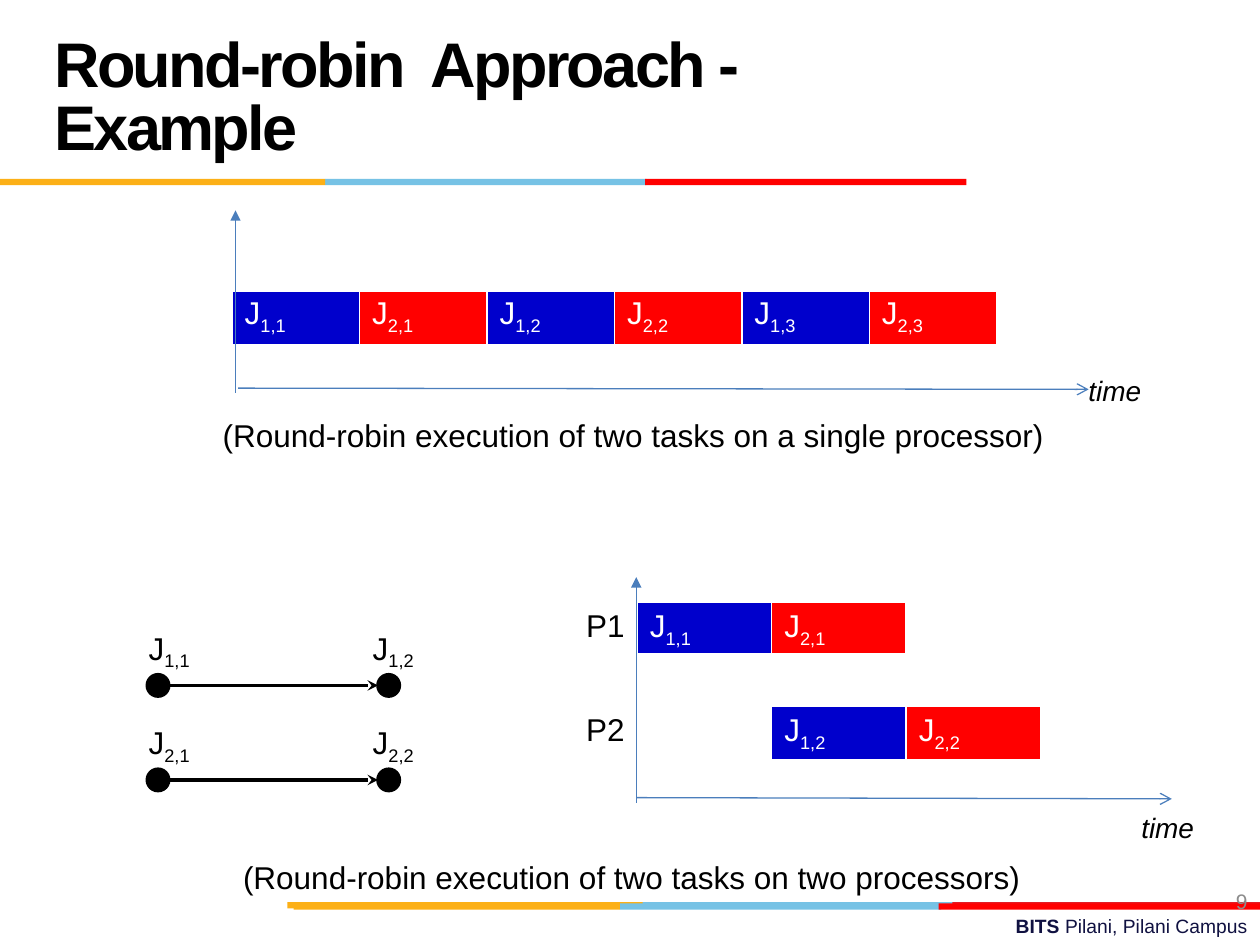
from dataclasses import dataclass
from typing import NamedTuple

from lxml import etree
from pptx import Presentation
from pptx.dml.color import RGBColor
from pptx.enum import shapes, text
from pptx.oxml import ns
from pptx.util import Pt


@dataclass(frozen=True)
class Theme:
    font: str = "Arial"
    black: str = "000000"
    white: str = "FFFFFF"
    navy: str = "101141"
    gray: str = "8C8C8C"
    amber: str = "FCB017"
    sky: str = "76C2E5"
    crimson: str = "E31C24"
    red: str = "FF0000"
    blue: str = "0000CC"
    axis: str = "4B7EBC"
    title_size: float = 36
    body_size: float = 18
    time_size: float = 16
    number_size: float = 12
    footer_size: float = 11


class Stripe(NamedTuple):
    left: float
    top: float
    width: float
    color: str


class Arrow(NamedTuple):
    start: tuple[float, float]
    end: tuple[float, float]
    color: str
    weight: float
    head: str = ""
    tail: str = ""


class Label(NamedTuple):
    left: float
    top: float
    width: float
    height: float
    words: str
    style: dict


class Slot(NamedTuple):
    row: int
    column: int
    name: str
    index: str = ""


THEME = Theme()
STRIPE_HEIGHT = 3.6
ROW_HEIGHT = 29.2


def rgb(color: str) -> RGBColor:
    return RGBColor.from_string(color)


def write(paragraph, words: str, *, size: float = THEME.body_size,
          color: str = THEME.black, bold: bool = False, italic: bool = False,
          subscript: bool = False, tracking: int = 0, align=None) -> None:
    run = paragraph.add_run()
    run.text = words
    run.font.name = THEME.font
    run.font.size = Pt(size)
    run.font.bold = bold
    run.font.italic = italic
    run.font.color.rgb = rgb(color)
    properties = run._r.get_or_add_rPr()
    if subscript:
        properties.set("baseline", "-25000")
    if tracking:
        properties.set("spc", str(tracking))
    if align is not None:
        paragraph.alignment = align


def write_job(paragraph, index: str, color: str) -> None:
    write(paragraph, "J", color=color)
    write(paragraph, index, color=color, subscript=True)


def add_box(slide, left: float, top: float, width: float, height: float,
            wrap: bool = False):
    frame = slide.shapes.add_textbox(Pt(left), Pt(top), Pt(width), Pt(height)).text_frame
    frame.word_wrap = wrap
    frame.auto_size = text.MSO_AUTO_SIZE.NONE if wrap else text.MSO_AUTO_SIZE.SHAPE_TO_FIT_TEXT
    return frame


def add_label(slide, label: Label) -> None:
    frame = add_box(slide, label.left, label.top, label.width, label.height)
    write(frame.paragraphs[0], label.words, **label.style)


def add_solid(slide, kind, left: float, top: float, width: float, height: float,
              color: str, outlined: bool = False) -> None:
    solid = slide.shapes.add_shape(kind, Pt(left), Pt(top), Pt(width), Pt(height))
    solid.shadow.inherit = False
    solid.fill.solid()
    solid.fill.fore_color.rgb = rgb(color)
    if outlined:
        solid.line.color.rgb = rgb(color)
        solid.line.width = Pt(2)
    else:
        solid.line.fill.background()


def add_arrow(slide, arrow: Arrow) -> None:
    line = slide.shapes.add_connector(
        shapes.MSO_CONNECTOR.STRAIGHT, *map(Pt, arrow.start + arrow.end))
    line.line.color.rgb = rgb(arrow.color)
    line.line.width = Pt(arrow.weight)
    outline = line.line._get_or_add_ln()
    for tag, end_style in (("a:headEnd", arrow.head), ("a:tailEnd", arrow.tail)):
        if end_style:
            etree.SubElement(outline, ns.qn(tag)).set("type", end_style)
    etree.SubElement(line._element.spPr, ns.qn("a:effectLst"))


def set_borders(cell, first_row: bool) -> None:
    properties = cell._tc.get_or_add_tcPr()
    for side in "LRTB":
        weight = 3 if first_row and side == "B" else 1
        border = etree.SubElement(properties, ns.qn(f"a:ln{side}"), w=str(Pt(weight)))
        fill = etree.SubElement(border, ns.qn("a:solidFill"))
        etree.SubElement(fill, ns.qn("a:srgbClr"), val=THEME.white)


def add_schedule(slide, left: float, top: float, width: float,
                 rows: int, columns: int, slots: list[Slot]) -> None:
    schedule = slide.shapes.add_table(
        rows, columns, Pt(left), Pt(top), Pt(width), Pt(rows * ROW_HEIGHT)).table
    schedule.first_row = False
    schedule.horz_banding = False
    for column in schedule.columns:
        column.width = Pt(width / columns)
    for number, row in enumerate(schedule.rows):
        row.height = Pt(ROW_HEIGHT)
        for cell in row.cells:
            set_borders(cell, number == 0)
            cell.fill.background()
    for slot in slots:
        cell = schedule.cell(slot.row, slot.column)
        paragraph = cell.text_frame.paragraphs[0]
        if slot.index:
            cell.fill.solid()
            cell.fill.fore_color.rgb = rgb(
                THEME.blue if slot.index.startswith("1") else THEME.red)
            write_job(paragraph, slot.index, THEME.white)
        else:
            write(paragraph, slot.name, align=text.PP_ALIGN.RIGHT)


def add_precedence(slide, task: int) -> None:
    middle = 391.7 + 54 * (task - 1)
    dot = 12.24
    add_arrow(slide, Arrow((90.3, middle), (216, middle), THEME.black, 2, "oval", "stealth"))
    for job, (dot_left, name_left) in enumerate(((84.2, 77.8), (216, 205.9)), 1):
        add_solid(slide, shapes.MSO_SHAPE.OVAL, dot_left, middle - dot / 2, dot, dot,
                  THEME.black, outlined=True)
        frame = add_box(slide, name_left, middle - 36, 40.3, 28.8)
        write_job(frame.paragraphs[0], f"{task},{job}", THEME.black)


def add_title(slide) -> None:
    title = slide.shapes.title
    title.left, title.top, title.width, title.height = map(Pt, (23.8, 12.2, 498.2, 90))
    frame = title.text_frame
    frame.word_wrap = True
    frame.auto_size = text.MSO_AUTO_SIZE.NONE
    frame.vertical_anchor = text.MSO_ANCHOR.MIDDLE
    paragraph = frame.paragraphs[0]
    paragraph.line_spacing = Pt(36)
    write(paragraph, "Round-robin  Approach - Example", size=THEME.title_size,
          bold=True, tracking=-150, align=text.PP_ALIGN.LEFT)


def add_footer(slide) -> None:
    campus = add_box(slide, 257.8, 519.1, 462.2, 20.9, wrap=True).paragraphs[0]
    for words, bold in (("BITS ", True), ("Pilani, Pilani Campus", False)):
        write(campus, words, size=THEME.footer_size, color=THEME.navy, bold=bold,
              align=text.PP_ALIGN.RIGHT)


def add_page_number(slide) -> None:
    frame = add_box(slide, 552.2, 500.4, 167.8, 28.8, wrap=True)
    frame.vertical_anchor = text.MSO_ANCHOR.MIDDLE
    write(frame.paragraphs[0], "9", size=THEME.number_size, color=THEME.gray,
          align=text.PP_ALIGN.RIGHT)


def main() -> None:
    deck = Presentation()
    deck.slide_width, deck.slide_height = Pt(720), Pt(540)
    slide = deck.slides.add_slide(deck.slide_layouts[5])
    stripes = [
        Stripe(364.3, 515.5, 183.6, THEME.sky), Stripe(544.3, 515.5, 175.7, THEME.crimson),
        Stripe(164.2, 515.5, 203, THEME.amber), Stripe(354.2, 516.2, 183.6, THEME.sky),
        Stripe(167.8, 516.2, 186.4, THEME.amber), Stripe(536.4, 516.2, 183.6, THEME.red),
        Stripe(185.8, 102.2, 183.6, THEME.sky), Stripe(0, 102.2, 185.8, THEME.amber),
        Stripe(368.6, 102.2, 183.6, THEME.red),
    ]
    add_footer(slide)
    for stripe in stripes:
        add_solid(slide, shapes.MSO_SHAPE.RECTANGLE, stripe.left, stripe.top,
                  stripe.width, STRIPE_HEIGHT, stripe.color)
    add_title(slide)
    add_page_number(slide)

    add_schedule(slide, 287.3, 344.2, 307.4, 5, 4, [
        Slot(0, 0, "P1"), Slot(0, 1, "J", "1,1"), Slot(0, 2, "J", "2,1"),
        Slot(2, 0, "P2"), Slot(2, 2, "J", "1,2"), Slot(2, 3, "J", "2,2")])
    for task in (1, 2):
        add_precedence(slide, task)
    turns = [f"{task},{job}" for job in (1, 2, 3) for task in (1, 2)]
    add_schedule(slide, 59.8, 136.1, 509.8, 4, 7,
                 [Slot(1, column, "J", index) for column, index in enumerate(turns, 1)])

    for arrow in (
        Arrow((363.6, 329.8), (363.6, 458.6), THEME.axis, 0.75, head="triangle"),
        Arrow((134.6, 120.2), (134.6, 224.6), THEME.axis, 0.75, head="triangle"),
        Arrow((136.1, 221.8), (622.1, 222.5), THEME.axis, 0.75, tail="arrow"),
        Arrow((363.6, 455.8), (669.6, 456.5), THEME.axis, 0.75, tail="arrow"),
    ):
        add_arrow(slide, arrow)

    time_style = {"size": THEME.time_size, "italic": True}
    for label in (
        Label(645.1, 459.4, 45.4, 26.6, "time", time_style),
        Label(614.9, 210.2, 45.4, 26.6, "time", time_style),
        Label(131.8, 486.7, 463, 28.8,
              "(Round-robin execution of two tasks on two processors)", {}),
        Label(120.2, 234, 497.5, 28.8,
              "(Round-robin execution of two tasks on a single processor)", {}),
    ):
        add_label(slide, label)
    deck.save("out.pptx")


if __name__ == "__main__":
    main()
